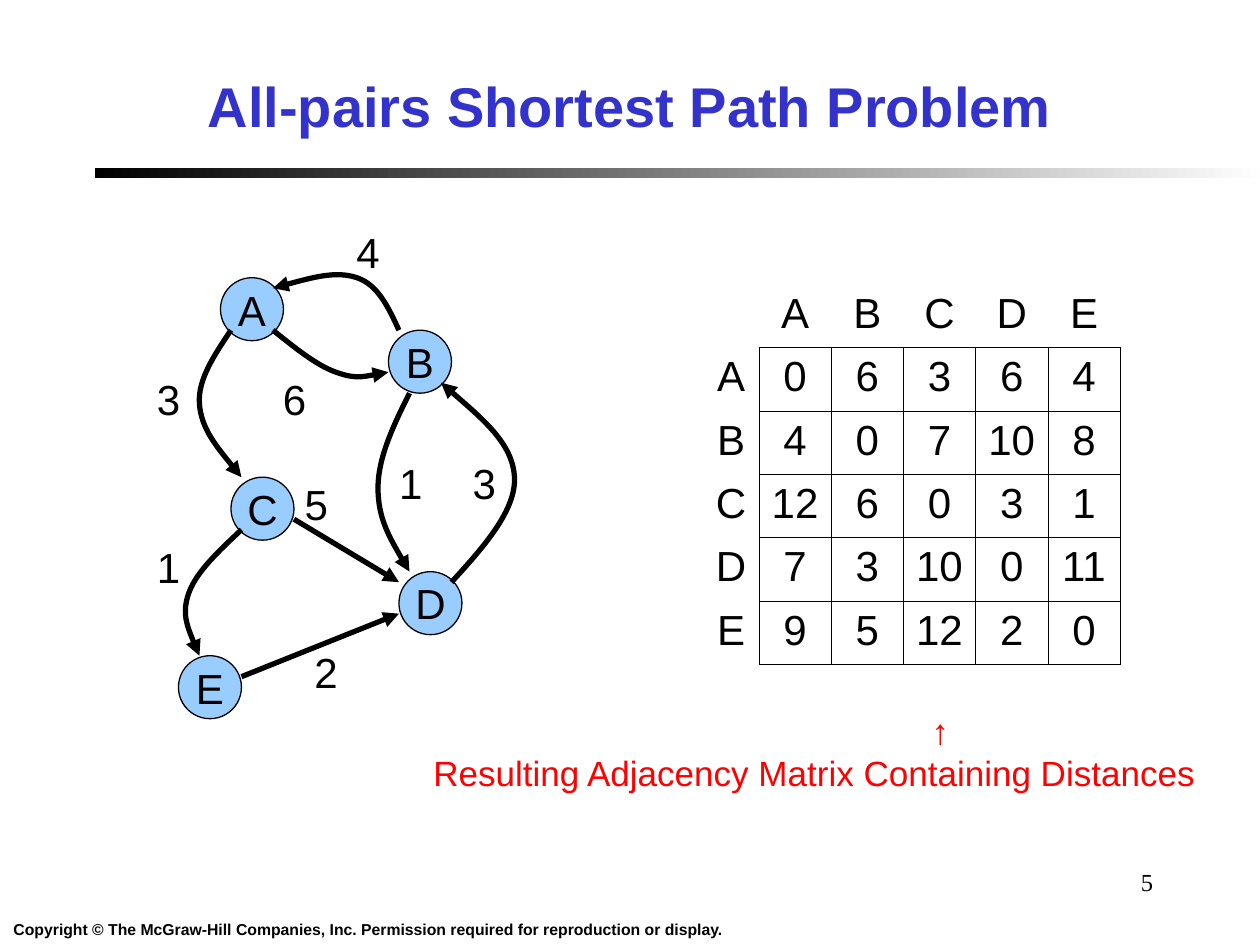
from pptx import Presentation
from pptx.dml.color import RGBColor
from pptx.enum.shapes import MSO_CONNECTOR, MSO_SHAPE
from pptx.enum.text import MSO_ANCHOR, PP_ALIGN
from pptx.oxml.ns import qn
from pptx.util import Pt
from lxml.etree import SubElement

BLACK = RGBColor(0, 0, 0)
WHITE = RGBColor(0xFE, 0xFE, 0xFE)
BLUE = RGBColor(0x33, 0x33, 0xCC)
SKY = RGBColor(0x99, 0xCC, 0xFF)
RED = RGBColor(0xFF, 0, 0)
LEFT, MID, RIGHT = PP_ALIGN.LEFT, PP_ALIGN.CENTER, PP_ALIGN.RIGHT


def write(par, text, size=24, color=BLACK, bold=False, align=MID, face="Arial"):
    par.alignment = align
    run = par.add_run()
    run.text = text
    font = run.font
    font.name, font.size, font.bold = face, Pt(size), bold
    font.color.rgb = color


def point(edge):
    """Give an edge its black line and arrowhead, and no shadow."""
    edge.line.color.rgb = BLACK
    edge.line.width = Pt(3)
    props = edge._element.spPr
    SubElement(props.find(qn("a:ln")), qn("a:tailEnd"), type="triangle")
    SubElement(props, qn("a:effectLst"))


deck = Presentation()
deck.slide_width, deck.slide_height = Pt(720), Pt(540)
slide = deck.slides.add_slide(deck.slide_layouts[5])
shapes = slide.shapes

# Title and rule
title = shapes.title
title.left, title.top, title.width, title.height = Pt(18), Pt(24), Pt(684), Pt(72)
title.text_frame.vertical_anchor = MSO_ANCHOR.MIDDLE
write(title.text_frame.paragraphs[0], "All-pairs Shortest Path Problem",
      size=32, color=BLUE, bold=True)

rule = shapes.add_shape(MSO_SHAPE.RECTANGLE, Pt(54), Pt(96), Pt(666), Pt(6))
rule.shadow.inherit = False
rule.line.fill.background()
rule.fill.gradient()
rule.fill.gradient_angle = 0
for stop, color in zip(rule.fill.gradient_stops, (BLACK, WHITE)):
    stop.color.rgb = color

# Graph nodes
nodes = [("A", 126, 158.7), ("E", 102, 374.7), ("B", 222, 188.7),
         ("C", 132, 272.7), ("D", 228, 326.7)]
for name, x, y in nodes:
    node = shapes.add_shape(MSO_SHAPE.OVAL, Pt(x), Pt(y), Pt(36), Pt(36))
    node.shadow.inherit = False
    node.fill.solid()
    node.fill.fore_color.rgb = SKY
    node.line.color.rgb = BLACK
    node.line.width = Pt(0.75)
    node.text_frame.word_wrap = False
    node.text_frame.vertical_anchor = MSO_ANCHOR.MIDDLE
    write(node.text_frame.paragraphs[0], name)

# Curved edges: a start, then three Bezier points for each half
curves = [
    # A to C
    [(132, 188.7), (122.4, 203), (113, 217), (114, 230.7),
     (115, 244.7), (126.5, 258.7), (138, 272.7)],
    # C to E
    [(138, 302.7), (125.3, 314.7), (112.3, 326.7), (108, 338.7),
     (103.7, 350.7), (108.7, 362.7), (114, 374.7)],
    # D to B
    [(258, 332.7), (276.5, 312.5), (295, 291.6), (294, 272.7),
     (293, 253.5), (272, 236.2), (252, 218.7)],
    # B to D
    [(234, 224.7), (224.6, 243.4), (216, 262), (216, 278.7),
     (216, 296), (224.6, 311), (234, 326.7)],
    # B to A
    [(228, 188.7), (222, 175.7), (216, 162.7), (204, 158.7),
     (192, 154.7), (174, 159.7), (156, 164.7)],
    # A to B
    [(156, 188.7), (168.5, 198.7), (180.7, 208.7), (192, 212.7),
     (203, 216.7), (212.4, 214.6), (222, 212.7)],
]
for curve in curves:
    start, *rest = [(Pt(x), Pt(y)) for x, y in curve]
    pen = shapes.build_freeform(*start)
    pen.add_line_segments(rest, close=False)
    edge = pen.convert_to_shape()
    edge.fill.background()
    route = edge._element.find(".//" + qn("a:path"))
    steps = route.findall(qn("a:lnTo"))
    for i in range(0, len(steps), 3):
        bend = SubElement(route, qn("a:cubicBezTo"))
        for step in steps[i:i + 3]:
            bend.append(step[0])
            route.remove(step)
    point(edge)

# Straight edges: E to D, C to D
for ends in [(138, 386.7, 228, 350.7), (168, 296.7, 228, 332.7)]:
    point(shapes.add_connector(MSO_CONNECTOR.STRAIGHT, *map(Pt, ends)))

# Edge weights
weights = [("4", 196.6, 126), ("6", 154.6, 209.7), ("1", 221, 257.7),
           ("3", 263, 257.7), ("5", 167, 269.7), ("3", 82.6, 209.7),
           ("1", 82.6, 305.7), ("2", 172.6, 365.7)]
for weight, x, y in weights:
    box = shapes.add_textbox(Pt(x), Pt(y), Pt(27.5), Pt(36))
    box.text_frame.word_wrap = False
    write(box.text_frame.paragraphs[0], weight, align=LEFT)

# Distance matrix
rows = [
    ["", "A", "B", "C", "D", "E"],
    ["A", "0", "6", "3", "6", "4"],
    ["B", "4", "0", "7", "10", "8"],
    ["C", "12", "6", "0", "3", "1"],
    ["D", "7", "3", "10", "0", "11"],
    ["E", "9", "5", "12", "2", "0"],
]
count = len(rows)
grid = shapes.add_table(count, count, Pt(401.8), Pt(162.4),
                        Pt(238.4), Pt(217.2)).table
grid.first_row = grid.horz_banding = False
for i in range(count):
    grid.rows[i].height = Pt(36.2)
    grid.columns[i].width = Pt(41.3 if i else 31.9)
for r, row in enumerate(rows):
    for c, value in enumerate(row):
        cell = grid.cell(r, c)
        if value:
            write(cell.text_frame.paragraphs[0], value)
        props = cell._tc.get_or_add_tcPr()
        inner = r > 0 and c > 0
        sides = {"lnL": inner, "lnR": r > 0, "lnT": inner, "lnB": c > 0}
        for side, shown in sides.items():
            line = SubElement(props, qn("a:" + side), w=str(Pt(0.45)))
            if shown:
                fill = SubElement(line, qn("a:solidFill"))
                SubElement(fill, qn("a:srgbClr"), val=str(BLACK))
            else:
                SubElement(line, qn("a:noFill"))
        cell.fill.background()

# Caption, with its arrow set under the matrix by an indent
box = shapes.add_textbox(Pt(240), Pt(402), Pt(450.7), Pt(55.4))
frame = box.text_frame
frame.word_wrap = False
arrow = frame.paragraphs[0]
arrow._p.get_or_add_pPr().set("marL", str(Pt(144)))
write(arrow, "↑", size=20, color=RED, bold=True)
write(frame.add_paragraph(), "Resulting Adjacency Matrix Containing Distances",
      size=20, color=RED)

# Page number and copyright line
box = shapes.add_textbox(Pt(516), Pt(492), Pt(150), Pt(36))
box.text_frame.word_wrap = True
write(box.text_frame.paragraphs[0], "5", size=14, align=RIGHT,
      face="Times New Roman")

box = shapes.add_textbox(Pt(0), Pt(522), Pt(420.5), Pt(18))
box.text_frame.word_wrap = False
write(box.text_frame.paragraphs[0],
      "Copyright © The McGraw-Hill Companies, Inc. "
      "Permission required for reproduction or display.", size=9, bold=True)

deck.save("out.pptx")
